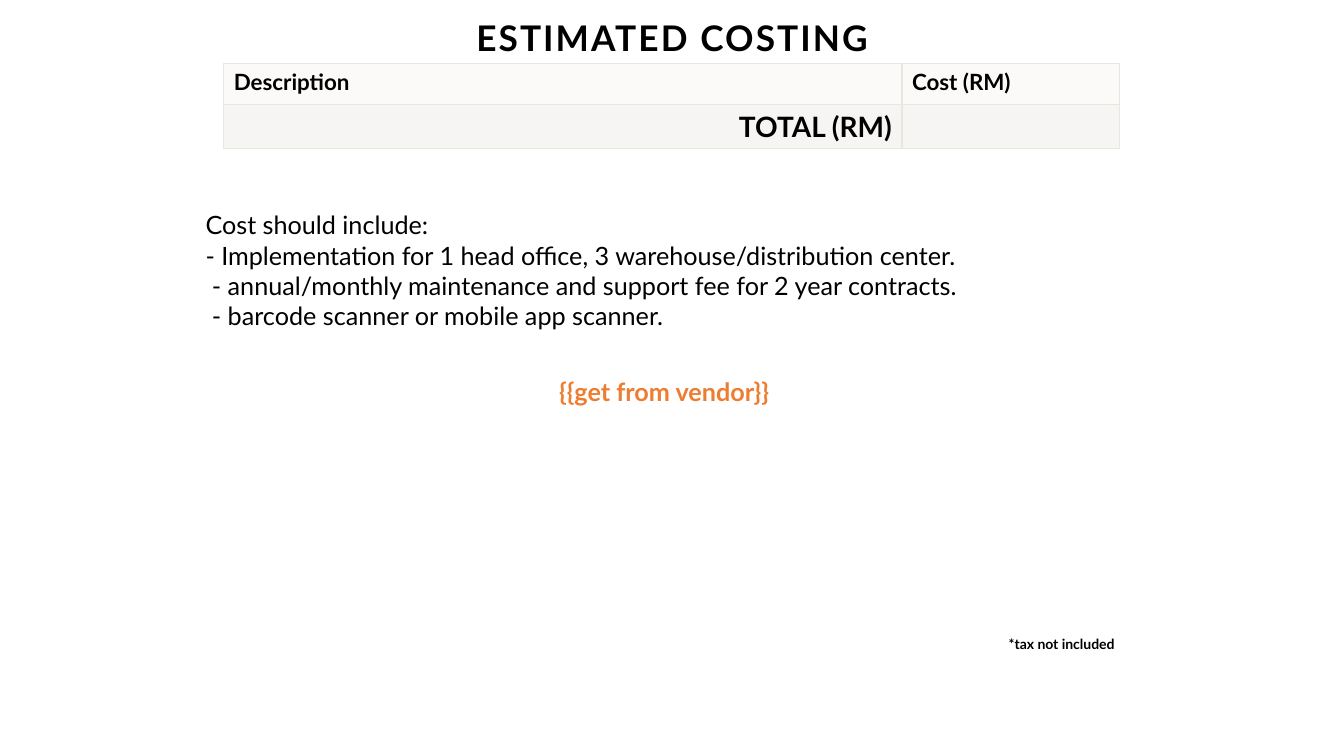
"""Build the estimated costing slide."""
from dataclasses import dataclass

from lxml.etree import SubElement
from pptx import Presentation
from pptx.dml.color import RGBColor as Rgb
from pptx.enum.text import MSO_ANCHOR as Anchor, PP_ALIGN as Align
from pptx.oxml.ns import qn
from pptx.slide import Slide
from pptx.table import _Cell as Cell
from pptx.text.text import _Paragraph as Para
from pptx.util import Cm, Pt


@dataclass(frozen=True)
class Theme:
    """Hold the colours and type sizes."""
    font: str = "Lato"
    ink: str = "000000"
    accent: str = "ED7D31"
    edge: str = "E9E6DF"
    head: str = "FBFAF9"
    foot: str = "F7F5F3"
    title: float = 25.2
    total: float = 20
    body: float = 18
    label: float = 16
    note: float = 10


THEME = Theme()


@dataclass(frozen=True)
class Label:
    """Describe one text box, with lengths in centimetres."""
    lines: tuple[str, ...]
    left: float
    top: float
    width: float
    height: float
    size: float
    color: str = THEME.ink
    bold: bool = True


@dataclass(frozen=True)
class Row:
    """Describe one table row."""
    texts: tuple[str, str]
    size: float
    fill: str
    align: Align
    height: float


TITLE = Label(("ESTIMATED COSTING",), 2.34, 0.51, 29.21, 1.02, THEME.title)
LABELS = (
    Label(("*tax not included",), 25.17, 15.88, 5.36, 0.69, THEME.note),
    Label(("{{get from vendor}}",), 13.84, 9.35, 6.2, 1.8, THEME.body, THEME.accent),
    Label((
        "Cost should include:\n- Implementation for 1 head office, 3 warehouse/distribution center.",
        " - annual/monthly maintenance and support fee for 2 year contracts.",
        " - barcode scanner or mobile app scanner.",
    ), 4.93, 5.16, 23.29, 3.33, THEME.body, bold=False),
)
ROWS = (
    Row(("Description", "Cost (RM)"), THEME.label, THEME.head, Align.LEFT, 1.03),
    Row(("TOTAL (RM)", ""), THEME.total, THEME.foot, Align.RIGHT, 1.1),
)
COLS = (17.09, 5.49)


def style(para: Para, size: float, color: str, bold: bool) -> None:
    """Set the font of a paragraph."""
    font = para.font
    font.name, font.size, font.bold = THEME.font, Pt(size), bold
    font.color.rgb = Rgb.from_string(color)


def write(slide: Slide, label: Label) -> Para:
    """Draw a text box and return its first paragraph."""
    box = slide.shapes.add_textbox(
        Cm(label.left), Cm(label.top), Cm(label.width), Cm(label.height))
    frame = box.text_frame
    frame.word_wrap = True
    for i, line in enumerate(label.lines):
        para = frame.add_paragraph() if i else frame.paragraphs[0]
        para.text = line
        style(para, label.size, label.color, label.bold)
    return frame.paragraphs[0]


def head(slide: Slide) -> None:
    """Draw the spaced and centred title."""
    para = write(slide, TITLE)
    para.alignment, para.line_spacing = Align.CENTER, 0.9
    para.runs[0]._r.get_or_add_rPr().set("spc", "150")
    slide.shapes[-1].text_frame.vertical_anchor = Anchor.MIDDLE


def edge(cell: Cell) -> None:
    """Draw the four borders of a cell."""
    props = cell._tc.get_or_add_tcPr()
    for side in ("a:lnL", "a:lnR", "a:lnT", "a:lnB"):
        line = SubElement(props, qn(side), w=str(Pt(1)))
        fill = SubElement(line, qn("a:solidFill"))
        SubElement(fill, qn("a:srgbClr"), val=THEME.edge)


def costs(slide: Slide) -> None:
    """Draw the cost table."""
    high = sum(row.height for row in ROWS)
    table = slide.shapes.add_table(
        len(ROWS), len(COLS), Cm(5.64), Cm(1.6), Cm(sum(COLS)), Cm(high)).table
    for col, width in zip(table.columns, COLS):
        col.width = Cm(width)
    for line, row in zip(table.rows, ROWS):
        line.height = Cm(row.height)
        for cell, text in zip(line.cells, row.texts):
            edge(cell)
            cell.fill.solid()
            cell.fill.fore_color.rgb = Rgb.from_string(row.fill)
            para = cell.text_frame.paragraphs[0]
            para.text, para.alignment = text, row.align
            style(para, row.size, THEME.ink, True)


def main() -> None:
    """Build and save the slide."""
    deck = Presentation()
    deck.slide_width, deck.slide_height = Cm(33.87), Cm(19.05)
    slide = deck.slides.add_slide(deck.slide_layouts[6])
    head(slide)
    costs(slide)
    for label in LABELS:
        write(slide, label)
    deck.save("out.pptx")


if __name__ == "__main__":
    main()
